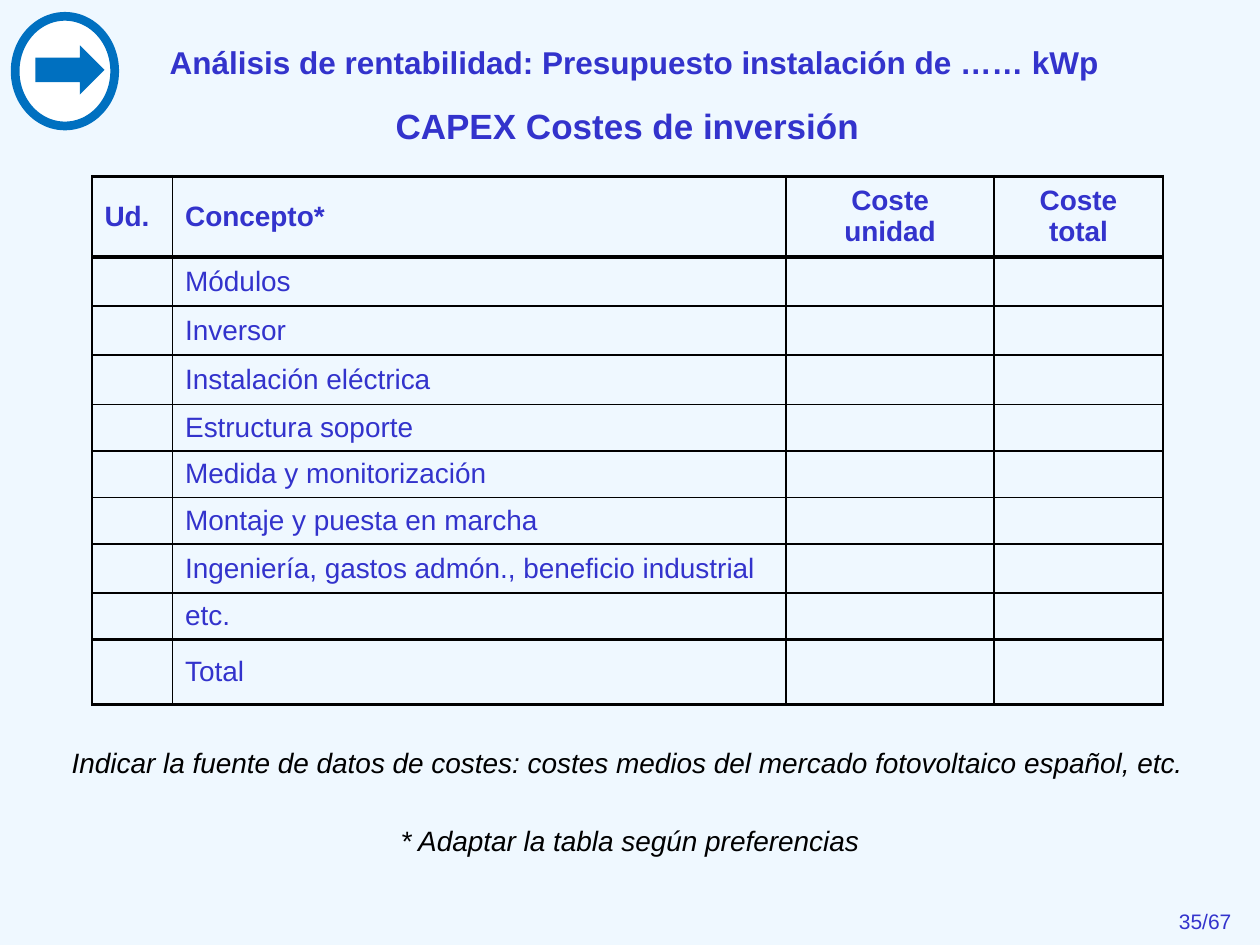
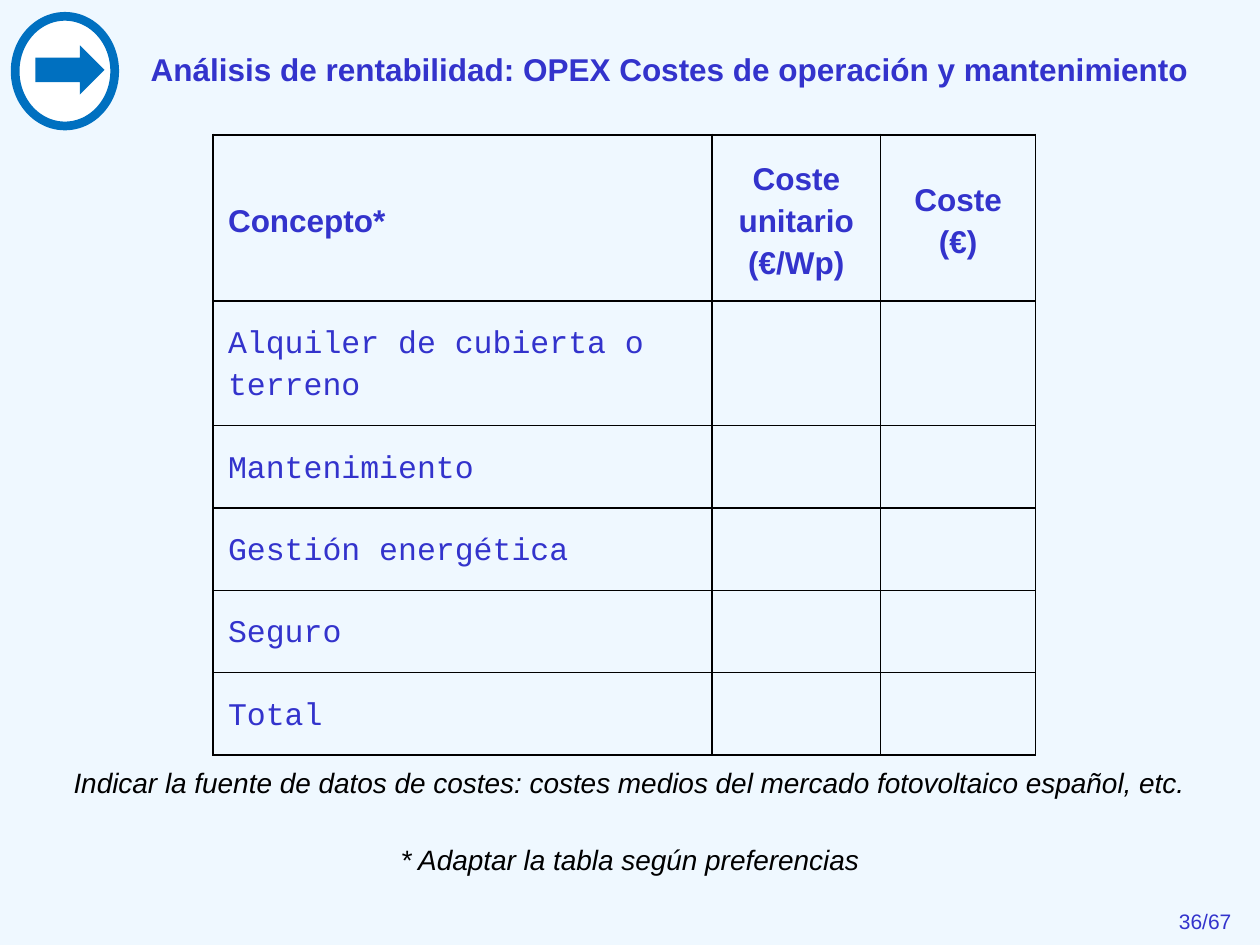
"""Build two slides of budget tables for a photovoltaic installation."""
import lxml.etree
import pptx
import pptx.dml.color
import pptx.enum.shapes
import pptx.enum.text
import pptx.oxml.ns
import pptx.util

Inches = pptx.util.Inches
Pt = pptx.util.Pt
RGBColor = pptx.dml.color.RGBColor
ALIGN = pptx.enum.text.PP_ALIGN
MIDDLE = pptx.enum.text.MSO_ANCHOR.MIDDLE
SHAPES = pptx.enum.shapes.MSO_SHAPE

BACKGROUND = RGBColor(0xEF, 0xF8, 0xFF)
INDIGO = RGBColor(0x33, 0x33, 0xCC)
BLUE = RGBColor(0x00, 0x70, 0xC0)
WHITE = RGBColor(0xFF, 0xFF, 0xFF)
BLACK = RGBColor(0x00, 0x00, 0x00)

TITLE_ONLY = 5
PAGE_COUNT = 67
SOURCE_NOTE = ("Indicar la fuente de datos de costes: costes medios del "
               "mercado fotovoltaico español, etc.")
ADAPT_NOTE = "* Adaptar la tabla según preferencias"


def write_text(frame, text, size=16, font="Arial", color=INDIGO, bold=False,
               italic=False, align=ALIGN.CENTER, spacing=None):
    """Fill a text frame with one formatted paragraph for each line of text."""
    for index, line in enumerate(text.split("\n")):
        paragraph = frame.add_paragraph() if index else frame.paragraphs[0]
        paragraph.alignment = align
        paragraph.line_spacing = spacing
        run = paragraph.add_run()
        run.text = line
        run.font.size = Pt(size)
        run.font.name = font
        run.font.color.rgb = color
        run.font.bold = bold
        run.font.italic = italic


def set_borders(cell, widths):
    """Draw the sides of a cell, given as a dict of side letter to points."""
    properties = cell._tc.get_or_add_tcPr()
    for index, (side, width) in enumerate(widths.items()):
        line = lxml.etree.Element(pptx.oxml.ns.qn(f"a:ln{side}"), w=str(Pt(width)))
        fill = lxml.etree.SubElement(line, pptx.oxml.ns.qn("a:solidFill"))
        lxml.etree.SubElement(fill, pptx.oxml.ns.qn("a:srgbClr"), val=str(BLACK))
        properties.insert(index, line)


class Deck:
    """Hold the shared style and the current slide."""

    def __init__(self):
        """Open a presentation with the common size and background."""
        self.presentation = pptx.Presentation()
        self.presentation.slide_width = Inches(10)
        self.presentation.slide_height = Inches(7.5)
        fill = self.presentation.slide_master.background.fill
        fill.solid()
        fill.fore_color.rgb = BACKGROUND
        self.slide = None

    def add_slide(self, title, left, top, page):
        """Start a slide with its title, arrow badge and page number."""
        layout = self.presentation.slide_layouts[TITLE_ONLY]
        self.slide = self.presentation.slides.add_slide(layout)
        shape = self.slide.shapes.title
        shape.left, shape.top = Inches(left), Inches(top)
        shape.width, shape.height = Inches(8.83), Inches(0.38)
        frame = shape.text_frame
        frame.auto_size = pptx.enum.text.MSO_AUTO_SIZE.SHAPE_TO_FIT_TEXT
        frame.vertical_anchor = MIDDLE
        frame.margin_top = frame.margin_bottom = Inches(0.01)
        write_text(frame, title, size=18, bold=True, spacing=1.3)
        self.add_badge()
        self.add_text(f"{page}/{PAGE_COUNT}", 9.13, 7.16, 0.87, 0.3, size=12)

    def add_badge(self):
        """Add the ringed arrow in the top left corner."""
        shapes = self.slide.shapes.add_group_shape().shapes
        ring = shapes.add_shape(SHAPES.OVAL, Inches(0.12), Inches(0.13),
                                Inches(0.79), Inches(0.87))
        arrow = shapes.add_shape(SHAPES.RIGHT_ARROW, Inches(0.28), Inches(0.36),
                                 Inches(0.55), Inches(0.39))
        for shape, color in ((ring, WHITE), (arrow, BLUE)):
            shape.shadow.inherit = False
            shape.fill.solid()
            shape.fill.fore_color.rgb = color
        ring.line.color.rgb = BLUE
        ring.line.width = Pt(5)
        arrow.line.fill.background()

    def add_text(self, text, left, top, width, height, **style):
        """Add a wrapping text box."""
        box = self.slide.shapes.add_textbox(Inches(left), Inches(top),
                                            Inches(width), Inches(height))
        box.text_frame.word_wrap = True
        write_text(box.text_frame, text, **style)

    def add_note(self, text, left, top, width):
        """Add an italic note below the table."""
        self.add_text(text, left, top, width, 0.41, color=BLACK, italic=True,
                      spacing=1.3)

    def add_table(self, left, top, columns, heights, rows, heavy_edges,
                  heavy_width, margins, size, body_font="Arial", spacing=None,
                  left_columns=1):
        """Add a ruled table whose listed horizontal edges are heavier."""
        table = self.slide.shapes.add_table(
            len(rows), len(columns), Inches(left), Inches(top),
            Inches(sum(columns)), Inches(sum(heights))).table
        table.first_row = table.horz_banding = False
        for column, width in zip(table.columns, columns):
            column.width = Inches(width)
        for row, height in zip(table.rows, heights):
            row.height = Inches(height)
        edges = [heavy_width if edge in heavy_edges else 1
                 for edge in range(len(rows) + 1)]
        for row_index, texts in enumerate(rows):
            header = row_index == 0
            for column_index, text in enumerate(texts):
                cell = table.cell(row_index, column_index)
                cell.fill.background()
                set_borders(cell, {"L": 1, "R": 1, "T": edges[row_index],
                                   "B": edges[row_index + 1]})
                cell.vertical_anchor = MIDDLE
                side, end = margins if text else (0, 0)
                cell.margin_left = cell.margin_right = Inches(side)
                cell.margin_top = cell.margin_bottom = Inches(end)
                if text:
                    write_text(cell.text_frame, text, size=size, bold=header,
                               font="Arial" if header else body_font,
                               align=ALIGN.LEFT if column_index < left_columns
                               else ALIGN.CENTER, spacing=spacing)


def main():
    """Build both slides and save them."""
    deck = Deck()

    deck.add_slide("Análisis de rentabilidad: Presupuesto instalación de …… kWp",
                   0.62, 0.26, 35)
    deck.add_text("CAPEX Costes de inversión", 2.48, 0.68, 5, 0.49, size=20,
                  bold=True, spacing=1.3)
    investment_items = [
        "Módulos", "Inversor", "Instalación eléctrica", "Estructura soporte",
        "Medida y monitorización", "Montaje y puesta en marcha",
        "Ingeniería, gastos admón., beneficio industrial", "etc.", "Total"]
    deck.add_table(
        0.73, 1.4, [0.64, 4.87, 1.65, 1.34],
        [0.64, 0.39, 0.39, 0.39, 0.37, 0.37, 0.37, 0.39, 0.36, 0.52],
        [["Ud.", "Concepto*", "Coste\nunidad", "Coste total"]]
        + [["", item, "", ""] for item in investment_items],
        heavy_edges=(0, 1, 9, 10), heavy_width=2, margins=(0.1, 0.05), size=16,
        left_columns=2)
    deck.add_note(SOURCE_NOTE, 0.21, 5.79, 9.54)
    deck.add_note(ADAPT_NOTE, 0.23, 6.41, 9.54)

    deck.add_slide("Análisis de rentabilidad: OPEX Costes de operación y mantenimiento",
                   0.9, 0.31, 36)
    operation_items = ["Alquiler de cubierta o terreno", "Mantenimiento",
                       "Gestión energética", "Seguro", "Total"]
    deck.add_table(
        1.69, 1.07, [3.96, 1.34, 1.23], [1.31, 0.98] + [0.65] * 4,
        [["Concepto*", "Coste unitario (€/Wp)", "Coste (€)"]]
        + [[item, "", ""] for item in operation_items],
        heavy_edges=(0, 1, 6), heavy_width=1.5, margins=(0.12, 0.16), size=18,
        body_font="Courier New", spacing=Pt(24))
    deck.add_note(SOURCE_NOTE, 0.36, 5.95, 9.27)
    deck.add_note(ADAPT_NOTE, 0.23, 6.56, 9.54)

    deck.presentation.save("out.pptx")


if __name__ == "__main__":
    main()
